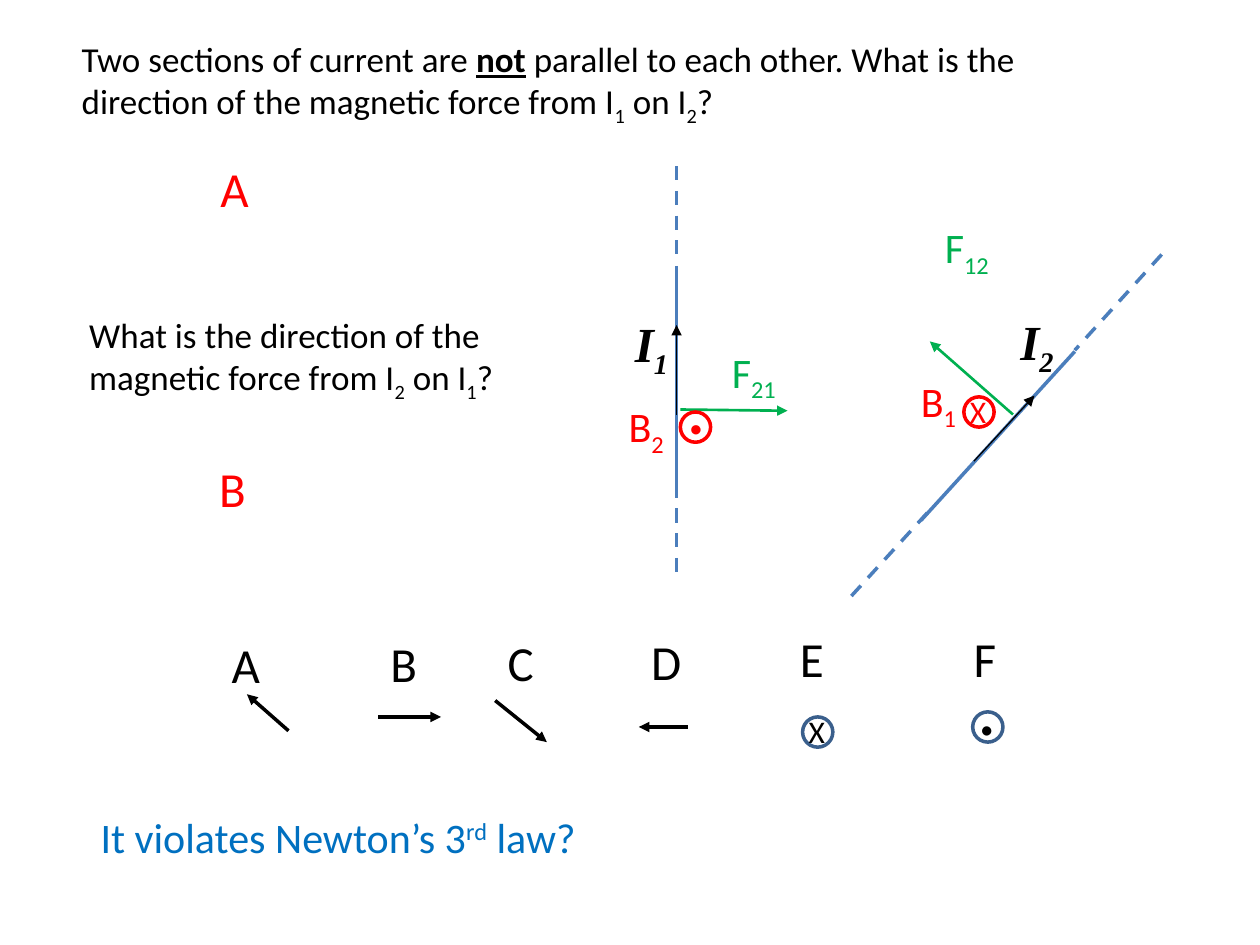
"""Build a slide on the magnetic forces between two non-parallel currents."""
from lxml import etree
from pptx import Presentation, util as u
from pptx.dml.color import RGBColor
from pptx.enum import dml, shapes, text
from pptx.oxml import ns

BLACK, RED, GREEN = "000000", "FF0000", "00B050"
WIRE, RING, BLUE = "4B7EBC", "3A5F8C", "0070C0"
SUB, SUPER = -25000, 30000

QUESTIONS = [
    (0.55, 0.25, 8.63, 0.77, [
        "Two sections of current are ", ("not", "strong"),
        " parallel to each other. What is the direction of the magnetic force from I",
        ("1", SUB), " on I", ("2", SUB), "?"]),
    (0.61, 2.44, 4.21, 0.77, [
        "What is the direction of the magnetic force from I",
        ("2", SUB), " on I", ("1", SUB), "?"]),
]
CURRENTS = [(4.94, 2.44, "1"), (8, 2.42, "2")]
VECTORS = [
    (7.21, 2.93, 0.5, "B", "1", RED), (4.89, 3.13, 0.5, "B", "2", RED),
    (7.4, 1.71, 0.58, "F", "12", GREEN), (5.71, 2.7, 0.58, "F", "21", GREEN),
]
LETTERS = [
    ("A", 1.74, 4.99, BLACK), ("B", 3, 4.98, BLACK), ("C", 3.93, 4.97, BLACK),
    ("D", 5.07, 4.96, BLACK), ("E", 6.25, 4.94, BLACK), ("F", 7.63, 4.94, BLACK),
    ("A", 1.65, 1.21, RED), ("B", 1.64, 3.59, RED),
]
WIRES = [
    (5.37, 2.11, 5.37, 3.92, False), (5.37, 1.32, 5.37, 2.1, True),
    (5.37, 3.84, 5.37, 4.62, True), (8.53, 2.79, 7.31, 4.13, False),
    (9.22, 2.02, 8.53, 2.78, True), (7.36, 4.07, 6.73, 4.76, True),
]
ARROWS = [
    (5.37, 3.29, 5.37, 2.58, BLACK, 0.75), (7.73, 3.66, 8.21, 3.14, BLACK, 0.75),
    (2.29, 5.8, 1.96, 5.51, BLACK, 2), (3, 5.69, 3.5, 5.69, BLACK, 2),
    (3.93, 5.56, 4.34, 5.89, BLACK, 2), (5.46, 5.77, 5.07, 5.77, BLACK, 2),
    (8.04, 3.29, 7.38, 2.71, GREEN, 1.5), (5.4, 3.25, 6.25, 3.26, GREEN, 1.5),
]
RING_SIZE = 0.24
CROSS = ("X", 18, False, -0.05, -0.09, 0.33, 0.4)
DOT = (".", 44, False, -0.06, -0.47, 0.36, 0.84)
BOLD_DOT = (".", 36, True, -0.04, -0.37, 0.34, 0.71)
FIELD_SIGNS = [
    (6.37, 5.69, RING, BLACK, CROSS), (7.72, 5.65, RING, BLACK, DOT),
    (7.65, 3.15, RED, RED, CROSS), (5.4, 3.27, RED, RED, BOLD_DOT),
]


def color(value):
    return RGBColor.from_string(value)


def add_text(page, place, spans, size, fill=BLACK, wrap=False,
             face="Calibri", bold=False, italic=False):
    box = page.shapes.add_textbox(*map(u.Inches, place))
    frame = box.text_frame
    frame.word_wrap = wrap
    frame.auto_size = text.MSO_AUTO_SIZE.SHAPE_TO_FIT_TEXT
    para = frame.paragraphs[0]
    font = para.font
    font.name, font.size, font.color.rgb = face, u.Pt(size), color(fill)
    font.bold, font.italic = bold, italic
    for item in spans:
        words, style = item if isinstance(item, tuple) else (item, None)
        span = para.add_run()
        span.text = words
        if style == "strong":
            span.font.bold = span.font.underline = True
        elif style:
            span._r.get_or_add_rPr().set("baseline", str(style))


def add_line(page, ends, fill, width, dashed=False, arrow=False):
    line = page.shapes.add_connector(
        shapes.MSO_CONNECTOR.STRAIGHT, *map(u.Inches, ends))
    line.line.color.rgb = color(fill)
    line.line.width = u.Pt(width)
    if dashed:
        line.line.dash_style = dml.MSO_LINE.DASH
    if arrow:
        etree.SubElement(line.line._get_or_add_ln(), ns.qn("a:tailEnd"), type="triangle")
    etree.SubElement(line._element.spPr, ns.qn("a:effectLst"))


def add_field_sign(page, left, top, outline, fill, sign):
    mark, size, bold, dx, dy, width, height = sign
    ring = page.shapes.add_shape(
        shapes.MSO_SHAPE.OVAL, *map(u.Inches, (left, top, RING_SIZE, RING_SIZE)))
    ring.shadow.inherit = False
    ring.fill.background()
    ring.line.color.rgb = color(outline)
    ring.line.width = u.Pt(2)
    add_text(page, (left + dx, top + dy, width, height), [mark], size, fill, bold=bold)


def main():
    deck = Presentation()
    deck.slide_width, deck.slide_height = u.Inches(10), u.Inches(7.5)
    page = deck.slides.add_slide(deck.slide_layouts[6])
    for *place, spans in QUESTIONS:
        add_text(page, place, spans, 20, wrap=True)
    for *ends, dashed in WIRES:
        add_line(page, ends, WIRE, 2, dashed=dashed)
    for *ends, fill, width in ARROWS:
        add_line(page, ends, fill, width, arrow=True)
    for left, top, index in CURRENTS:
        add_text(page, (left, top, 0.75, 0.57), ["I", (index, SUB)], 28, wrap=True,
                 face="Times New Roman", bold=True, italic=True)
    for sign in FIELD_SIGNS:
        add_field_sign(page, *sign)
    for left, top, width, name, index, fill in VECTORS:
        add_text(page, (left, top, width, 0.5), [name, (index, SUB)], 24, fill)
    for letter, left, top, fill in LETTERS:
        add_text(page, (left, top, 0.43, 0.57), [letter], 28, fill)
    add_text(page, (0.7, 6.39, 4.03, 0.5),
             ["It violates Newton’s 3", ("rd", SUPER), " law?"], 24, BLUE)
    deck.save("out.pptx")


if __name__ == "__main__":
    main()
